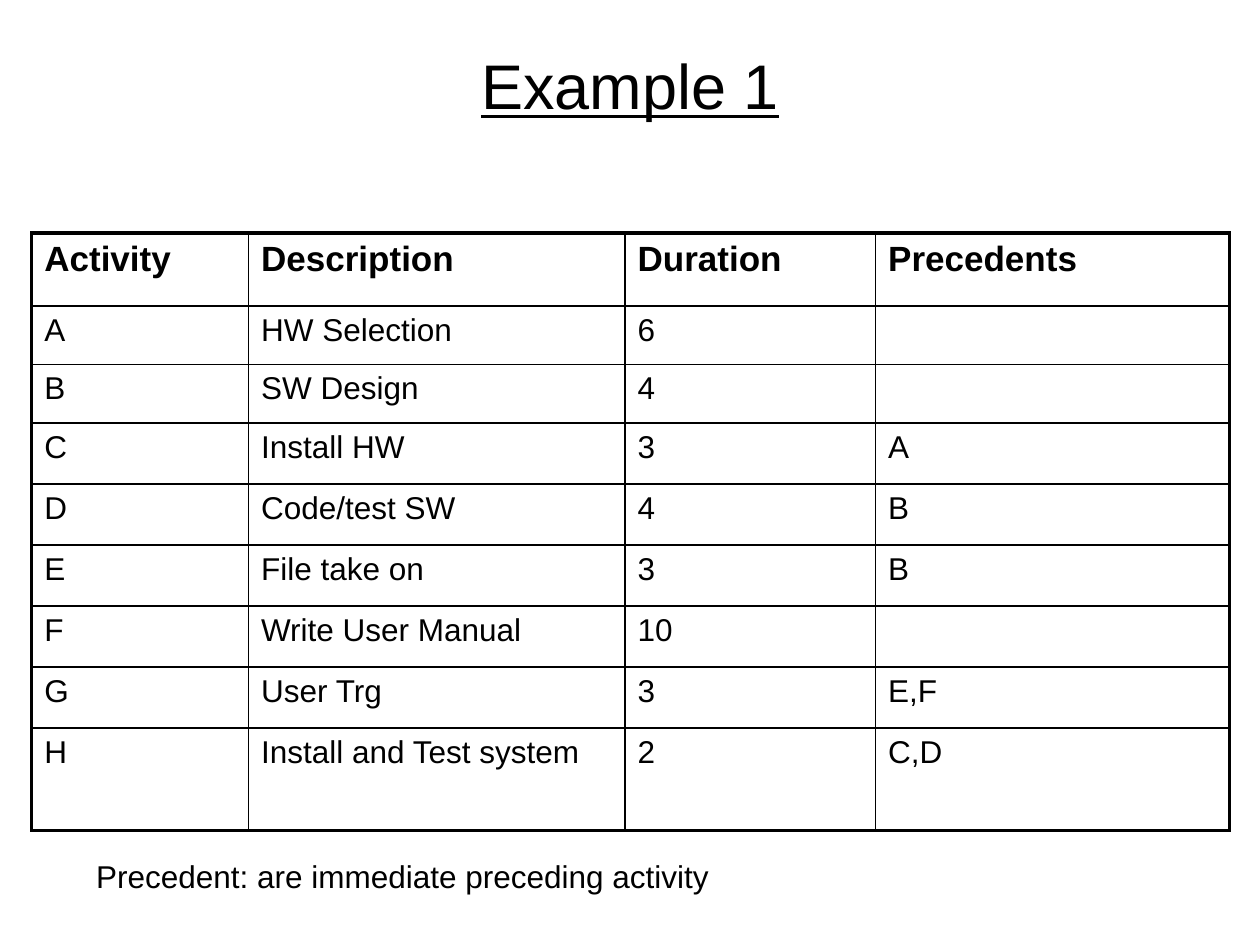
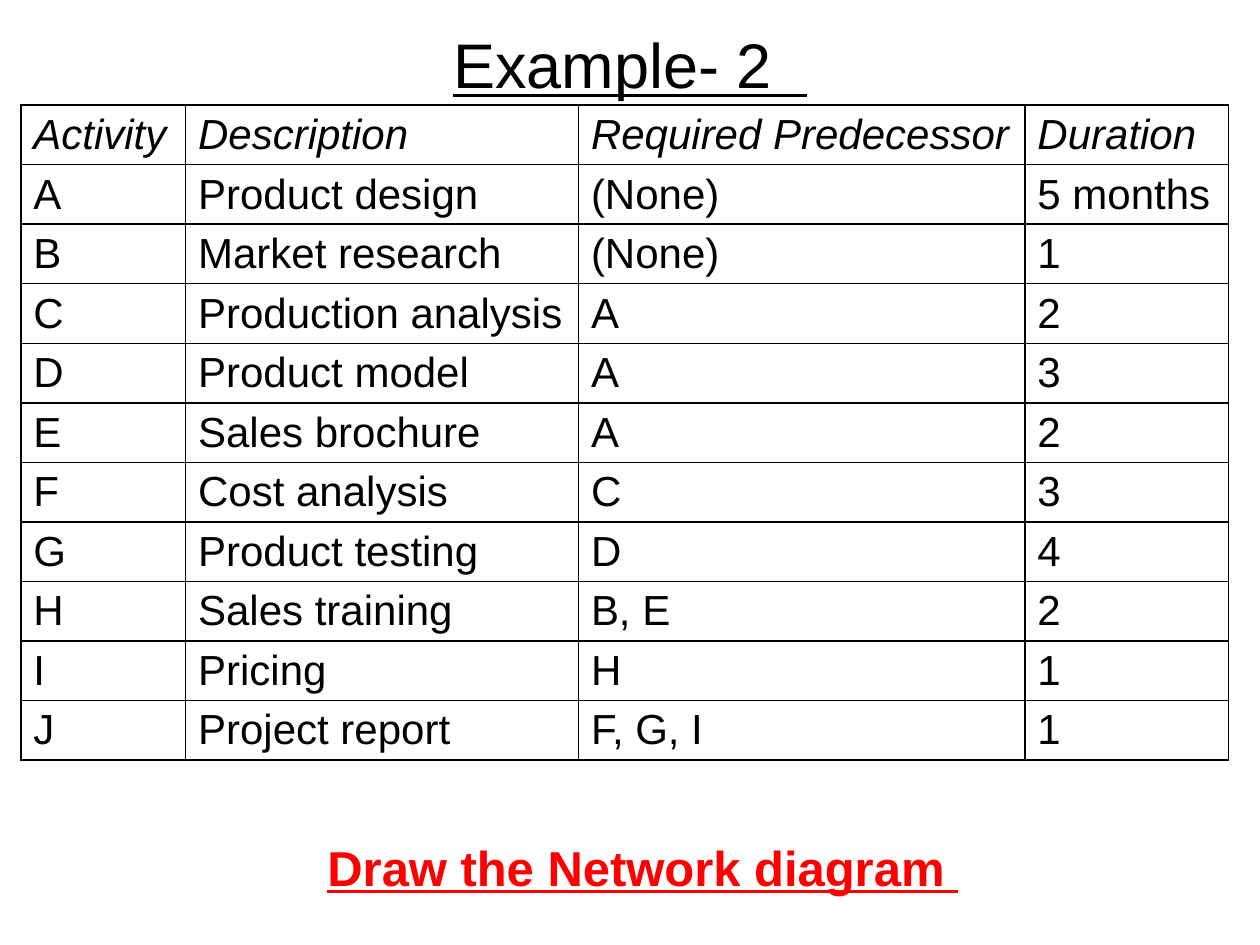
from dataclasses import dataclass
from itertools import product

from lxml.etree import SubElement
from pptx import Presentation
from pptx.dml.color import RGBColor
from pptx.enum.text import MSO_ANCHOR, MSO_AUTO_SIZE, PP_ALIGN
from pptx.oxml import parse_xml
from pptx.oxml.ns import nsdecls, qn
from pptx.slide import Slide
from pptx.table import _Cell
from pptx.text.text import TextFrame
from pptx.util import Cm, Pt

FONT = "Arial"
BLACK = "000000"
RED = "FF0000"
TITLE_ONLY = 5


@dataclass(frozen=True)
class ActivityTable:
    """Content and format of one activity table, with lengths in centimetres."""

    left: float
    top: float
    widths: list[float]
    heights: list[float]
    rows: list[list[str]]
    size: float
    header_size: float
    header_bold: bool = False
    header_italic: bool = False
    outer_line: float = 1
    anchor: MSO_ANCHOR = MSO_ANCHOR.TOP
    hanging: float = 0
    margin: float = 0.13


@dataclass(frozen=True)
class Caption:
    """A line of text below a table, with lengths in centimetres."""

    text: str
    left: float
    top: float
    width: float
    height: float
    size: float
    color: str = BLACK
    bold: bool = False
    underline: bool = False


@dataclass(frozen=True)
class Example:
    """One slide: a title, its table and its caption."""

    title: str
    title_top: float
    table: ActivityTable
    caption: Caption


HARDWARE_PROJECT = Example(
    title="Example 1",
    title_top=0.64,
    table=ActivityTable(
        left=0.64,
        top=4.7,
        widths=[4.37, 7.59, 5.05, 7.14],
        heights=[1.47, 1.18, 1.18] + [1.23] * 5 + [2.06],
        rows=[
            ["Activity", "Description", "Duration", "Precedents"],
            ["A", "HW Selection", "6", ""],
            ["B", "SW Design", "4", ""],
            ["C", "Install HW", "3", "A"],
            ["D", "Code/test SW", "4", "B"],
            ["E", "File take on", "3", "B"],
            ["F", "Write User Manual", "10", ""],
            ["G", "User Trg", "3", "E,F"],
            ["H", "Install and Test system", "2", "C,D"],
        ],
        size=18,
        header_size=20,
        header_bold=True,
        outer_line=2.25,
    ),
    caption=Caption("Precedent: are immediate preceding activity", 1.69, 17.15, 18.84, 1.02, 18),
)

PRODUCT_PROJECT = Example(
    title="Example- 2  ",
    title_top=0.22,
    table=ActivityTable(
        left=0.42,
        top=2.12,
        widths=[3.32, 7.92, 9, 4.11],
        heights=[1.2] * 11,
        rows=[
            ["Activity", "Description", "Required Predecessor", "Duration"],
            ["A", "Product design", "(None)", "5 months"],
            ["B", "Market research", "(None)", "1"],
            ["C", "Production analysis", "A", "2"],
            ["D", "Product model", "A", "3"],
            ["E", "Sales brochure", "A", "2"],
            ["F", "Cost analysis", "C", "3"],
            ["G", "Product testing", "D", "4"],
            ["H", "Sales training", "B, E", "2"],
            ["I", "Pricing", "H", "1"],
            ["J", "Project report", "F, G, I", "1"],
        ],
        size=24,
        header_size=24,
        header_italic=True,
        anchor=MSO_ANCHOR.MIDDLE,
        hanging=0.95,
        margin=0.11,
    ),
    caption=Caption(
        "Draw the Network diagram ", 6.35, 16.75, 14.82, 1.45, 28, RED, bold=True, underline=True
    ),
)


def rgb(color: str) -> RGBColor:
    """Turn a hex string into a colour."""
    return RGBColor.from_string(color)


def write_text(
    frame: TextFrame,
    text: str,
    *,
    size: float,
    color: str = BLACK,
    bold: bool = False,
    italic: bool = False,
    underline: bool = False,
    align: PP_ALIGN = PP_ALIGN.LEFT,
    hanging: float = 0,
) -> None:
    """Write one formatted paragraph into a text frame."""
    para = frame.paragraphs[0]
    para.alignment = align
    if hanging:
        properties = para._p.get_or_add_pPr()
        properties.set("marL", str(Cm(hanging)))
        properties.set("indent", str(-Cm(hanging)))
    span = para.add_run()
    span.text = text
    font = span.font
    font.name, font.size = FONT, Pt(size)
    font.bold, font.italic, font.underline = bold, italic, underline
    font.color.rgb = rgb(color)


def set_borders(cell: _Cell, widths: dict[str, float]) -> None:
    """Draw the cell's left, right, top and bottom lines."""
    properties = cell._tc.get_or_add_tcPr()
    for position, (side, width) in enumerate(widths.items()):
        line = parse_xml(f'<a:ln{side} {nsdecls("a")} w="{Pt(width)}"/>')
        fill = SubElement(line, qn("a:solidFill"))
        SubElement(fill, qn("a:srgbClr")).set("val", BLACK)
        properties.insert(position, line)


def add_title(page: Slide, text: str, top: float) -> None:
    """Place and format the title placeholder."""
    box = page.shapes.title
    box.left, box.top, box.width, box.height = Cm(1.27), Cm(top), Cm(22.86), Cm(2.12)
    frame = box.text_frame
    frame.auto_size = MSO_AUTO_SIZE.NONE
    frame.vertical_anchor = MSO_ANCHOR.MIDDLE
    write_text(frame, text, size=36, underline=True, align=PP_ALIGN.CENTER)


def add_activity_table(page: Slide, design: ActivityTable) -> None:
    """Draw a table with ruled cells and a distinct header row."""
    row_count, column_count = len(design.heights), len(design.widths)
    table = page.shapes.add_table(
        row_count,
        column_count,
        Cm(design.left),
        Cm(design.top),
        Cm(sum(design.widths)),
        Cm(sum(design.heights)),
    ).table
    table.first_row = table.horz_banding = False
    for column, width in zip(table.columns, design.widths):
        column.width = Cm(width)
    for row, height in zip(table.rows, design.heights):
        row.height = Cm(height)
    for row, column in product(range(row_count), range(column_count)):
        cell = table.cell(row, column)
        cell.fill.background()
        cell.vertical_anchor = design.anchor
        cell.margin_top = cell.margin_bottom = Cm(design.margin)
        edges = {
            "L": column == 0,
            "R": column == column_count - 1,
            "T": row == 0,
            "B": row == row_count - 1,
        }
        set_borders(cell, {side: design.outer_line if outer else 1 for side, outer in edges.items()})
        header = row == 0
        if design.rows[row][column]:
            write_text(
                cell.text_frame,
                design.rows[row][column],
                size=design.header_size if header else design.size,
                bold=header and design.header_bold,
                italic=header and design.header_italic,
                hanging=design.hanging,
            )


def add_caption(page: Slide, caption: Caption) -> None:
    """Add the line of text below the table."""
    box = page.shapes.add_textbox(
        Cm(caption.left), Cm(caption.top), Cm(caption.width), Cm(caption.height)
    )
    box.text_frame.word_wrap = True
    write_text(
        box.text_frame,
        caption.text,
        size=caption.size,
        color=caption.color,
        bold=caption.bold,
        underline=caption.underline,
    )


def main() -> None:
    """Build and save the deck."""
    deck = Presentation()
    deck.slide_width, deck.slide_height = Cm(25.4), Cm(19.05)
    for example in (HARDWARE_PROJECT, PRODUCT_PROJECT):
        page = deck.slides.add_slide(deck.slide_layouts[TITLE_ONLY])
        add_title(page, example.title, example.title_top)
        add_activity_table(page, example.table)
        add_caption(page, example.caption)
    deck.save("out.pptx")


if __name__ == "__main__":
    main()
